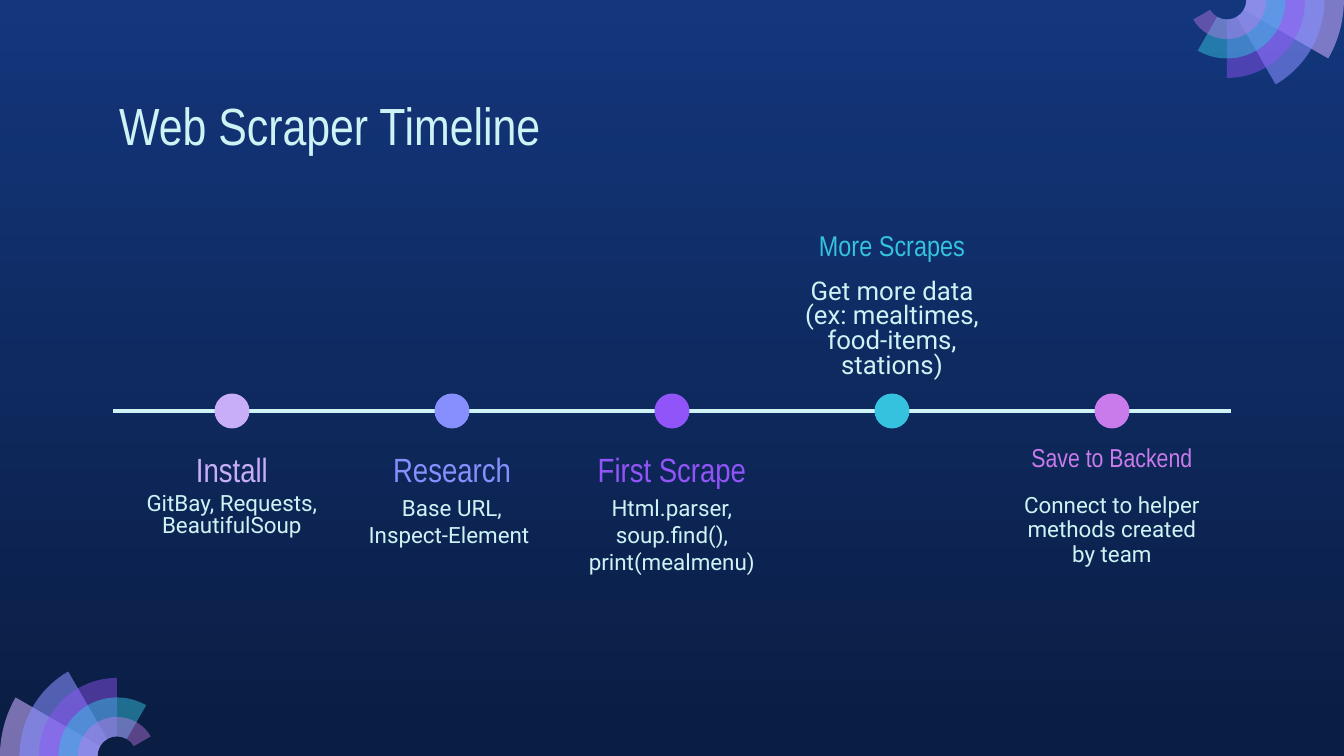
from math import cos, radians, sin, tan

from lxml import etree
from pptx import Presentation
from pptx.dml.color import RGBColor
from pptx.enum.shapes import MSO_CONNECTOR, MSO_SHAPE
from pptx.enum.text import MSO_ANCHOR, PP_ALIGN
from pptx.oxml.ns import qn
from pptx.util import Emu, Pt

OVAL = MSO_SHAPE.OVAL
STRAIGHT = MSO_CONNECTOR.STRAIGHT
TOP = MSO_ANCHOR.TOP
LEFT, CENTER = PP_ALIGN.LEFT, PP_ALIGN.CENTER
PX = 914400 / 134.4

THEME = {
    "sky": "13367C", "night": "0A1D42", "text": "CEF3F5",
    "lilac": "C8AEF8", "petal": "C8ACFD", "periwinkle": "878FFF",
    "violet": "9154F8", "cyan": "35C2DF", "pink": "CA7BEB",
    "head_font": "Arial Narrow", "body_font": "Roboto",
    "title": 28, "head": 18, "head_mid": 15.3, "head_small": 13.9,
    "body": 12, "body_large": 13.8, "line": 2.25, "inset": 7.2,
}


def px(length):
    return Emu(round(length * PX))


def add_text(words, left, top, width, height, font, size, color,
             align=CENTER, spacing=None, after=None):
    box = page.shapes.add_textbox(px(left), px(top), px(width), px(height))
    frame = box.text_frame
    frame.word_wrap = True
    frame.vertical_anchor = TOP
    frame.margin_left = frame.margin_right = Pt(THEME["inset"])
    frame.margin_top = frame.margin_bottom = Pt(THEME["inset"])
    frame.text = words
    para = frame.paragraphs[0]
    para.alignment = align
    para.line_spacing = spacing
    para.space_after = after
    span = para.runs[0]
    span.font.name = THEME[font]
    span.font.size = Pt(THEME[size])
    span.font.color.rgb = RGBColor.from_string(THEME[color])


deck = Presentation()
deck.slide_width, deck.slide_height = px(1344), px(756)
page = deck.slides.add_slide(deck.slide_layouts[6])

backdrop = page.background.fill
backdrop.gradient()
backdrop.gradient_angle = 270
for stop, color in zip(backdrop.gradient_stops, ("sky", "night")):
    stop.color.rgb = RGBColor.from_string(THEME[color])

PETALS = [("petal", 58), ("periwinkle", 58), ("violet", 46), ("cyan", 49), ("pink", 42)]
RING = 19.5
for center_x, center_y, turn in ((117, 756, 0), (1227, 0, 180)):
    fan = page.shapes.add_group_shape()
    for index, (color, opacity) in enumerate(PETALS):
        end = 150 - 30 * index
        sweep = [180, 90, end] if end < 90 else [180, end]
        edge = [(RING * (6 - index), radians(angle + turn)) for angle in sweep]
        edge += [(RING, radians(angle + turn)) for angle in reversed(sweep)]
        points = [(px(center_x + radius * cos(angle)), px(center_y - radius * sin(angle)))
                  for radius, angle in edge]
        outline = fan.shapes.build_freeform(*points[0])
        outline.add_line_segments(points[1:], close=True)
        petal = outline.convert_to_shape()

        corners = list(petal._element.iter(qn("a:pt")))
        for here in range(1, len(edge)):
            (last_radius, start), (radius, finish) = edge[here - 1], edge[here]
            if radius != last_radius:
                continue
            reach = 4 / 3 * tan((finish - start) / 4) * radius
            curve = corners[here].getparent()
            curve.tag = qn("a:cubicBezTo")
            handles = ((corners[here - 1], start, reach), (corners[here], finish, -reach))
            for place, (corner, angle, pull) in enumerate(handles):
                handle = etree.Element(qn("a:pt"))
                handle.set("x", str(int(corner.get("x")) - px(pull * sin(angle))))
                handle.set("y", str(int(corner.get("y")) - px(pull * cos(angle))))
                curve.insert(place, handle)

        petal.shadow.inherit = False
        petal.line.fill.background()
        petal.fill.solid()
        petal.fill.fore_color.rgb = RGBColor.from_string(THEME[color])
        tint = petal.fill._xPr.find(qn("a:solidFill"))[0]
        etree.SubElement(tint, qn("a:alpha")).set("val", str(opacity * 1000))

add_text("Web Scraper Timeline", 106, 80, 1133, 85, "head_font", "title", "text", LEFT)

AXIS = 411
axis = page.shapes.add_connector(STRAIGHT, px(1231), px(AXIS), px(113), px(AXIS))
axis.line.color.rgb = RGBColor.from_string(THEME["text"])
axis.line.width = Pt(THEME["line"])
etree.SubElement(axis._element.spPr, qn("a:effectLst"))

STEPS = [
    ("Install", "head", None, "GitBay, Requests, BeautifulSoup", "body", 0.8, "lilac", 435),
    ("Research", "head", None, "Base URL, Inspect-Element ", "body", None, "periwinkle", 435),
    ("First Scrape", "head", None, "Html.parser, soup.find(), print(mealmenu)",
     "body", None, "violet", 435),
    ("More Scrapes", "head_mid", 0.8, "Get more data (ex: mealtimes, food-items, stations)",
     "body_large", 0.8, "cyan", 221),
    ("Save to Backend", "head_small", 0.8, "Connect to helper methods created by team",
     "body", 0.9, "pink", 435),
]
FIRST, PITCH, DOT = 232, 220, 35
for index, step in enumerate(STEPS):
    heading, head_size, head_spacing, detail, body_size, body_spacing, color, top = step
    middle = FIRST + PITCH * index
    head_width = 341 if heading == "First Scrape" else 195
    add_text(heading, middle - head_width / 2, top, head_width, 54,
             "head_font", head_size, color, spacing=head_spacing)
    add_text(detail, middle - 207 / 2, top + 46, 207, 110,
             "body_font", body_size, "text", spacing=body_spacing, after=Pt(16))
    dot = page.shapes.add_shape(OVAL, px(middle - DOT / 2), px(AXIS - DOT / 2), px(DOT), px(DOT))
    dot.shadow.inherit = False
    dot.line.fill.background()
    dot.fill.solid()
    dot.fill.fore_color.rgb = RGBColor.from_string(THEME[color])

deck.save("out.pptx")
